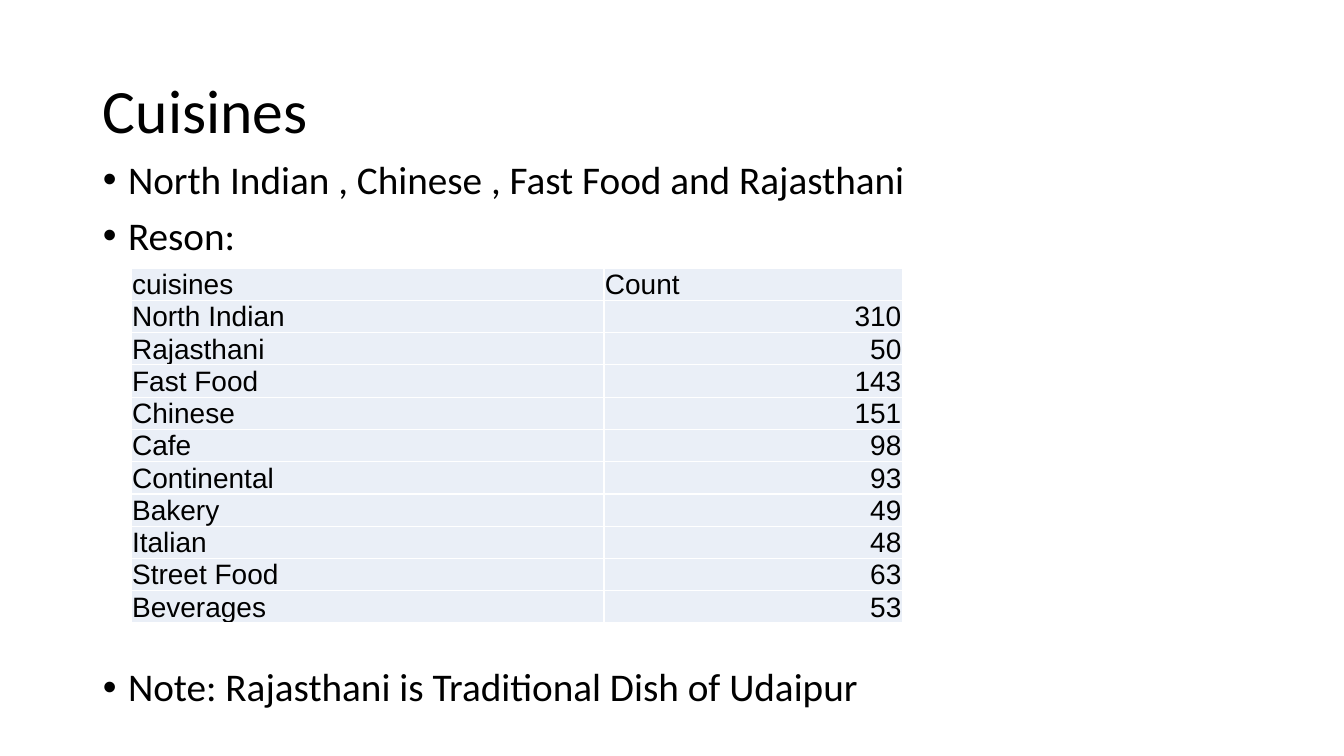
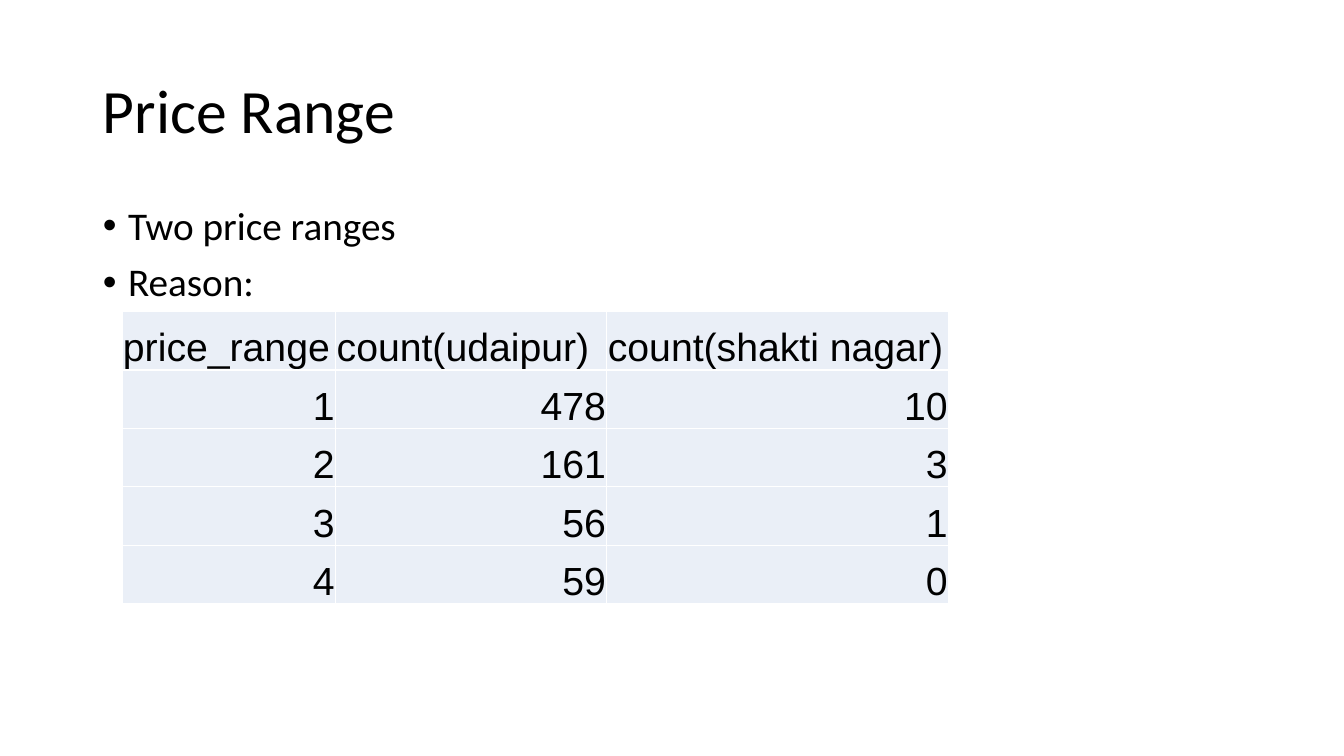
from lxml.etree import SubElement
from pptx import Presentation
from pptx.dml.color import RGBColor
from pptx.enum.text import MSO_ANCHOR, MSO_AUTO_SIZE, PP_ALIGN
from pptx.oxml.ns import qn
from pptx.util import Inches, Pt

BLACK = RGBColor(0x00, 0x00, 0x00)
WHITE = RGBColor(0xFF, 0xFF, 0xFF)
PALE_BLUE = RGBColor(0xEA, 0xEF, 0xF7)
TEXT_FONT = "Calibri"
TABLE_FONT = "Arial"
TITLE_BOX = (0.92, 0.4, 11.5, 1.45)


def write_text(paragraph, text, font=TEXT_FONT, size=28, align=PP_ALIGN.LEFT,
               line_spacing=0.9, space_before=0):
    """Fill a paragraph with one formatted run."""
    paragraph.alignment = align
    paragraph.line_spacing = line_spacing
    paragraph.space_before = Pt(space_before)
    run = paragraph.add_run()
    run.text = text
    run.font.name = font
    run.font.size = Pt(size)
    run.font.color.rgb = BLACK


def place(shape, box, anchor):
    """Move a placeholder into its box and return its text frame."""
    shape.left, shape.top, shape.width, shape.height = map(Inches, box)
    frame = shape.text_frame
    frame.word_wrap = True
    frame.auto_size = MSO_AUTO_SIZE.NONE
    frame.vertical_anchor = anchor
    return frame


def add_bullet(paragraph):
    properties = paragraph._p.get_or_add_pPr()
    properties.set("marL", str(Inches(0.25)))
    properties.set("indent", str(-Inches(0.25)))
    SubElement(properties, qn("a:buFont")).set("typeface", TABLE_FONT)
    SubElement(properties, qn("a:buChar")).set("char", "•")


def fill_title(slide, text):
    frame = place(slide.shapes.title, TITLE_BOX, MSO_ANCHOR.MIDDLE)
    write_text(frame.paragraphs[0], text, size=44)


def fill_bullets(slide, box, bullets):
    """Write (text, space before) pairs as a bullet list."""
    frame = place(slide.placeholders[1], box, MSO_ANCHOR.TOP)
    for index, (text, space_before) in enumerate(bullets):
        paragraph = frame.add_paragraph() if index else frame.paragraphs[0]
        write_text(paragraph, text, space_before=space_before)
        add_bullet(paragraph)


def add_borders(cell):
    properties = cell._tc.get_or_add_tcPr()
    for side in ("lnL", "lnR", "lnT", "lnB"):
        line = SubElement(properties, qn(f"a:{side}"), w=str(Pt(1)))
        fill = SubElement(line, qn("a:solidFill"))
        SubElement(fill, qn("a:srgbClr"), val=str(WHITE))


def add_count_table(slide, left, top, column_widths, row_height, size, rows):
    """Draw a table with words on the left and numbers on the right."""
    table = slide.shapes.add_table(
        len(rows), len(column_widths), Inches(left), Inches(top),
        Inches(sum(column_widths)), Inches(row_height * len(rows))).table
    table.first_row = table.horz_banding = False
    for column, width in zip(table.columns, column_widths):
        column.width = Inches(width)
    for row_index, values in enumerate(rows):
        table.rows[row_index].height = Inches(row_height)
        for column_index, value in enumerate(values):
            cell = table.cell(row_index, column_index)
            cell.margin_left = cell.margin_right = cell.margin_top = Inches(0.01)
            cell.margin_bottom = 0
            cell.vertical_anchor = MSO_ANCHOR.BOTTOM
            add_borders(cell)
            cell.fill.solid()
            cell.fill.fore_color.rgb = PALE_BLUE
            align = PP_ALIGN.RIGHT if isinstance(value, int) else PP_ALIGN.LEFT
            write_text(cell.text_frame.paragraphs[0], str(value),
                       font=TABLE_FONT, size=size, align=align, line_spacing=1.0)


def add_table_slide(presentation, title, body_box, bullets, **table_format):
    slide = presentation.slides.add_slide(presentation.slide_layouts[1])
    fill_title(slide, title)
    fill_bullets(slide, body_box, bullets)
    add_count_table(slide, **table_format)


presentation = Presentation()
presentation.slide_width = Inches(13.33)
presentation.slide_height = Inches(7.5)

# Cuisines: the last bullet sits below the table
add_table_slide(
    presentation, "Cuisines", (0.92, 1.54, 11.5, 5.7),
    [("North Indian , Chinese , Fast Food and Rajasthani ", 10),
     ("Reson:", 10),
     ("Note: Rajasthani is Traditional Dish of Udaipur", 292)],
    left=1.3, top=2.66, column_widths=(4.69, 2.96), row_height=0.3, size=20,
    rows=[("cuisines", "Count"), ("North Indian", 310), ("Rajasthani", 50),
          ("Fast Food", 143), ("Chinese", 151), ("Cafe", 98),
          ("Continental", 93), ("Bakery", 49), ("Italian", 48),
          ("Street Food", 63), ("Beverages", 53)])

# Price range
add_table_slide(
    presentation, "Price Range", (0.92, 2, 11.5, 4.76),
    [("Two price ranges", 10), ("Reason:", 10)],
    left=1.21, top=3.09, column_widths=(2.12, 2.69, 3.39), row_height=0.58,
    size=28,
    rows=[("price_range", "count(udaipur)", "count(shakti nagar)"),
          (1, 478, 10), (2, 161, 3), (3, 56, 1), (4, 59, 0)])

presentation.save("out.pptx")
